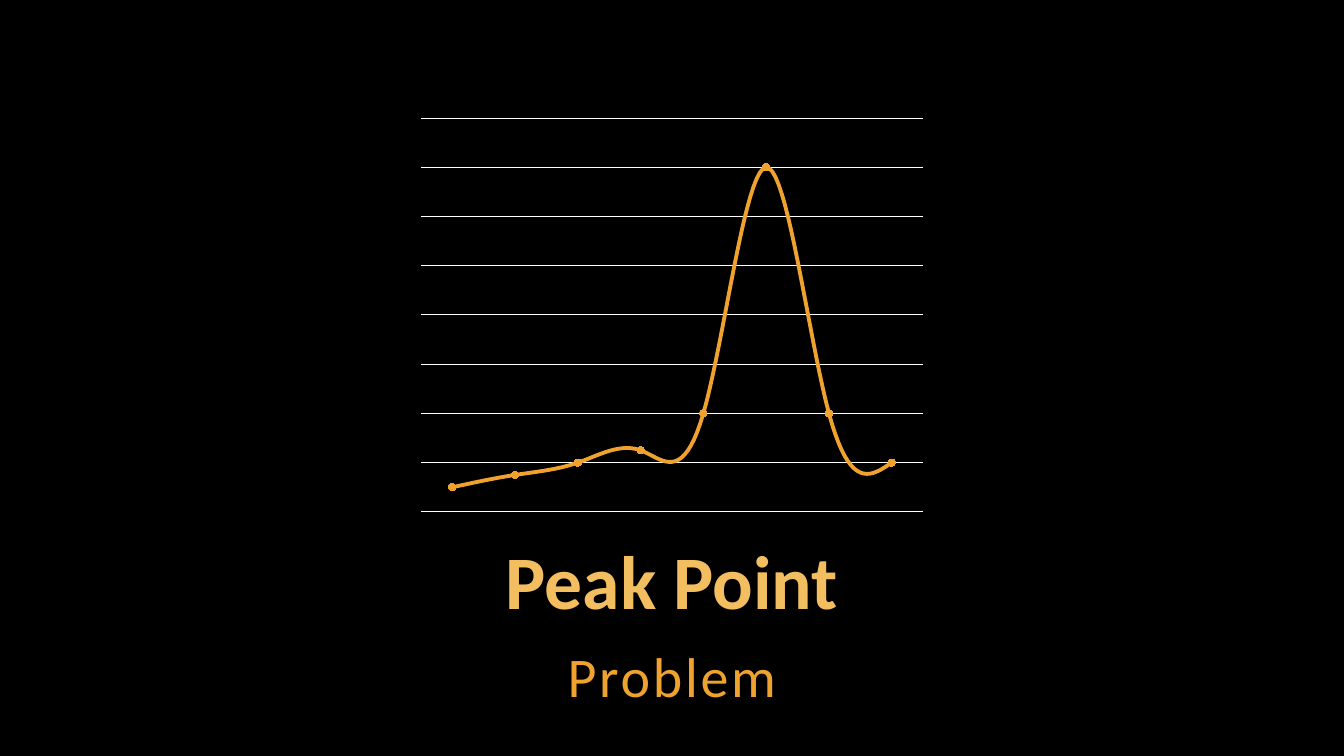
import pptx
import pptx.chart.data
import pptx.dml.color
import pptx.enum.chart
import pptx.enum.text
import pptx.util

Inches = pptx.util.Inches
Pt = pptx.util.Pt
RGBColor = pptx.dml.color.RGBColor

BLACK = RGBColor(0x00, 0x00, 0x00)
WHITE = RGBColor(0xFF, 0xFF, 0xFF)
ORANGE = RGBColor(0xF0, 0xA2, 0x2E)
LIGHT_ORANGE = RGBColor(0xF3, 0xBE, 0x60)
FONT = "Calibri"

CATEGORIES = ["1", "2", "3", "4", "5"]
VALUES = [2, 3, 4, 5, 8, 28, 8, 4]


def add_text(slide, text, *, top, height, size, color, bold=False,
             anchor=pptx.enum.text.MSO_ANCHOR.TOP, line_spacing=1.0,
             space_after=0, letter_spacing=0):
    """Add a centred line of text; letter_spacing is in points."""
    sp = slide.shapes.add_textbox(Inches(1), Inches(top),
                                  Inches(11.33), Inches(height))
    tf = sp.text_frame
    tf.word_wrap = True
    tf.vertical_anchor = anchor
    tf.margin_left = tf.margin_right = Inches(0.04)
    tf.margin_top = tf.margin_bottom = Inches(0.04)
    p = tf.paragraphs[0]
    p.alignment = pptx.enum.text.PP_ALIGN.CENTER
    p.line_spacing = line_spacing
    p.space_after = Pt(space_after)
    r = p.add_run()
    r.text = text
    r.font.name = FONT
    r.font.size = Pt(size)
    r.font.bold = bold
    r.font.color.rgb = color
    if letter_spacing:
        r.font._element.set("spc", str(letter_spacing * 100))


def style_series(series):
    series.smooth = True
    series.format.line.color.rgb = ORANGE
    series.format.line.width = Pt(2.75)
    marker = series.marker
    marker.style = pptx.enum.chart.XL_MARKER_STYLE.CIRCLE
    marker.size = 5
    marker.format.fill.solid()
    marker.format.fill.fore_color.rgb = ORANGE
    marker.format.line.fill.background()


def add_peak_chart(slide):
    data = pptx.chart.data.CategoryChartData()
    data.categories = CATEGORIES
    data.add_series("Series 1", VALUES)
    chart = slide.shapes.add_chart(
        pptx.enum.chart.XL_CHART_TYPE.LINE_MARKERS,
        Inches(4.07), Inches(1.09), Inches(5.19), Inches(4.07), data).chart
    chart.has_legend = False
    chart.has_title = False
    chart.font.name = FONT
    chart.font.size = Pt(10)
    chart.font.color.rgb = WHITE
    chart.category_axis.visible = False
    axis = chart.value_axis
    axis.visible = False
    axis.minimum_scale, axis.maximum_scale, axis.major_unit = 0, 32, 4
    axis.has_major_gridlines = True
    axis.major_gridlines.format.line.color.rgb = WHITE
    axis.major_gridlines.format.line.width = Pt(0.75)
    plot = chart.plots[0]
    plot.vary_by_categories = False
    style_series(plot.series[0])


def main():
    prs = pptx.Presentation()
    prs.slide_width = Inches(13.33)
    prs.slide_height = Inches(7.5)
    slide = prs.slides.add_slide(prs.slide_layouts[6])
    slide.background.fill.solid()
    slide.background.fill.fore_color.rgb = BLACK

    add_text(slide, "Peak Point", top=5.35, height=0.9, size=54,
             color=LIGHT_ORANGE, bold=True, line_spacing=0.9,
             anchor=pptx.enum.text.MSO_ANCHOR.BOTTOM)
    add_text(slide, "Problem", top=6.29, height=0.79, size=40, color=ORANGE,
             line_spacing=1.05, space_after=6, letter_spacing=2)
    add_peak_chart(slide)
    prs.save("out.pptx")


if __name__ == "__main__":
    main()
